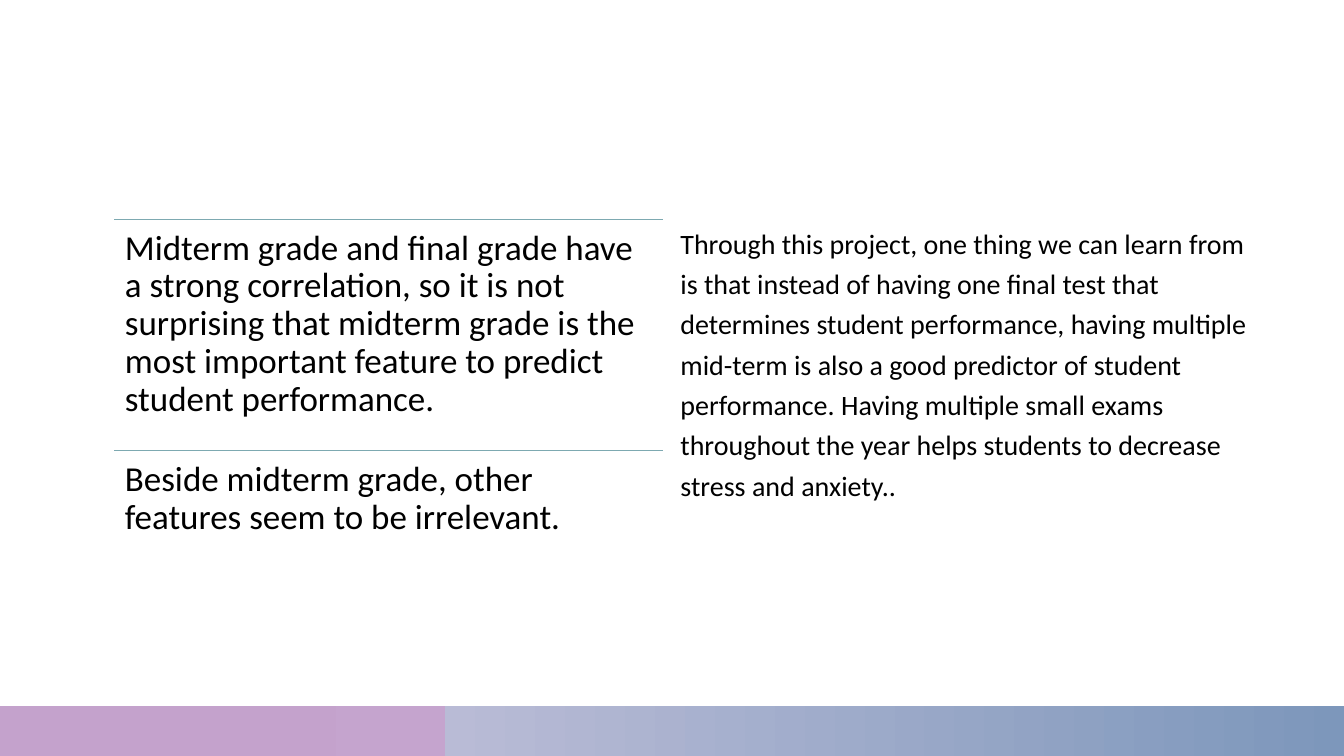
from pptx import Presentation
from pptx.dml.color import RGBColor
from pptx.enum.shapes import MSO_CONNECTOR, MSO_SHAPE
from pptx.enum.text import MSO_ANCHOR, MSO_AUTO_SIZE, PP_ALIGN
from pptx.oxml.ns import qn
from pptx.util import Pt

STRAIGHT = MSO_CONNECTOR.STRAIGHT
RECTANGLE = MSO_SHAPE.RECTANGLE
TOP = MSO_ANCHOR.TOP
NO_FIT = MSO_AUTO_SIZE.NONE
LEFT = PP_ALIGN.LEFT

PX = 9525
THEME = {
    "font": "Calibri",
    "text": RGBColor.from_string("000000"),
    "rule": RGBColor.from_string("7DA9B1"),
    "lilac": ("C4A2CC", "C8A9D2"),
    "blue": ("B9BBD6", "7D97BB"),
    "finding_size": Pt(25),
    "lesson_size": Pt(20),
    "rule_width": Pt(1),
}

FINDINGS = [
    "Midterm grade and final grade have a strong correlation, so it is not surprising "
    "that midterm grade is the most important feature to predict student performance.",
    "Beside midterm grade, other features seem to be irrelevant.",
]
LESSON = (
    "Through this project, one thing we can learn from is that instead of having one final "
    "test that determines student performance, having multiple mid-term is also a good "
    "predictor of student performance. Having multiple small exams throughout the year "
    "helps students to decrease stress and anxiety.."
)


def px(*lengths):
    return [length * PX for length in lengths]


def write(box, text, size, inset, spacing):
    frame = box.text_frame
    frame_format = {
        "word_wrap": True,
        "auto_size": NO_FIT,
        "vertical_anchor": TOP,
        "margin_left": inset * PX,
        "margin_top": inset * PX,
        "margin_right": inset * PX,
        "margin_bottom": inset * PX,
    }
    for name, value in frame_format.items():
        setattr(frame, name, value)
    para = frame.paragraphs[0]
    para.alignment = LEFT
    for name, value in spacing.items():
        setattr(para, name, value)
    span = para.add_run()
    span.text = text
    for name, value in {"name": THEME["font"], "size": size}.items():
        setattr(span.font, name, value)
    span.font.color.rgb = THEME["text"]
    return para


deck = Presentation()
deck.slide_width, deck.slide_height = px(1280, 720)
page = deck.slides.add_slide(deck.slide_layouts[1])
title = page.shapes.title
title.element.getparent().remove(title.element)

for left, width, colors in [(0, 1280, THEME["lilac"]), (424, 856, THEME["blue"])]:
    band = page.shapes.add_shape(RECTANGLE, *px(left, 672, width, 48))
    band.shadow.inherit = False
    band.line.fill.background()
    band.fill.gradient()
    band.fill.gradient_angle = 0
    for stop, color, position in zip(band.fill.gradient_stops, colors, (0, 1)):
        stop.color.rgb = RGBColor.from_string(color)
        stop.position = position

column_left, column_top, column_width, row_height = 109, 209, 522, 220
for row, finding in enumerate(FINDINGS):
    top = column_top + row * row_height
    rule = page.shapes.add_connector(
        STRAIGHT, *px(column_left, top, column_left + column_width, top)
    )
    rule.line.color.rgb = THEME["rule"]
    rule.line.width = THEME["rule_width"]
    properties = rule.element.spPr
    properties.append(properties.makeelement(qn("a:effectLst"), {}))
    box = page.shapes.add_textbox(*px(column_left, top, column_width, row_height))
    write(box, finding, THEME["finding_size"], 10, {"line_spacing": 0.9})

lesson = page.placeholders[1]
lesson.left, lesson.top, lesson.width, lesson.height = px(648, column_top, 544, 439)
para = write(
    lesson, LESSON, THEME["lesson_size"], 0, {"line_spacing": 1.2, "space_before": Pt(10)}
)
layout = para._p.get_or_add_pPr()
layout.set("marL", "0")
layout.set("indent", "0")
layout.append(layout.makeelement(qn("a:buNone"), {}))

deck.save("out.pptx")
